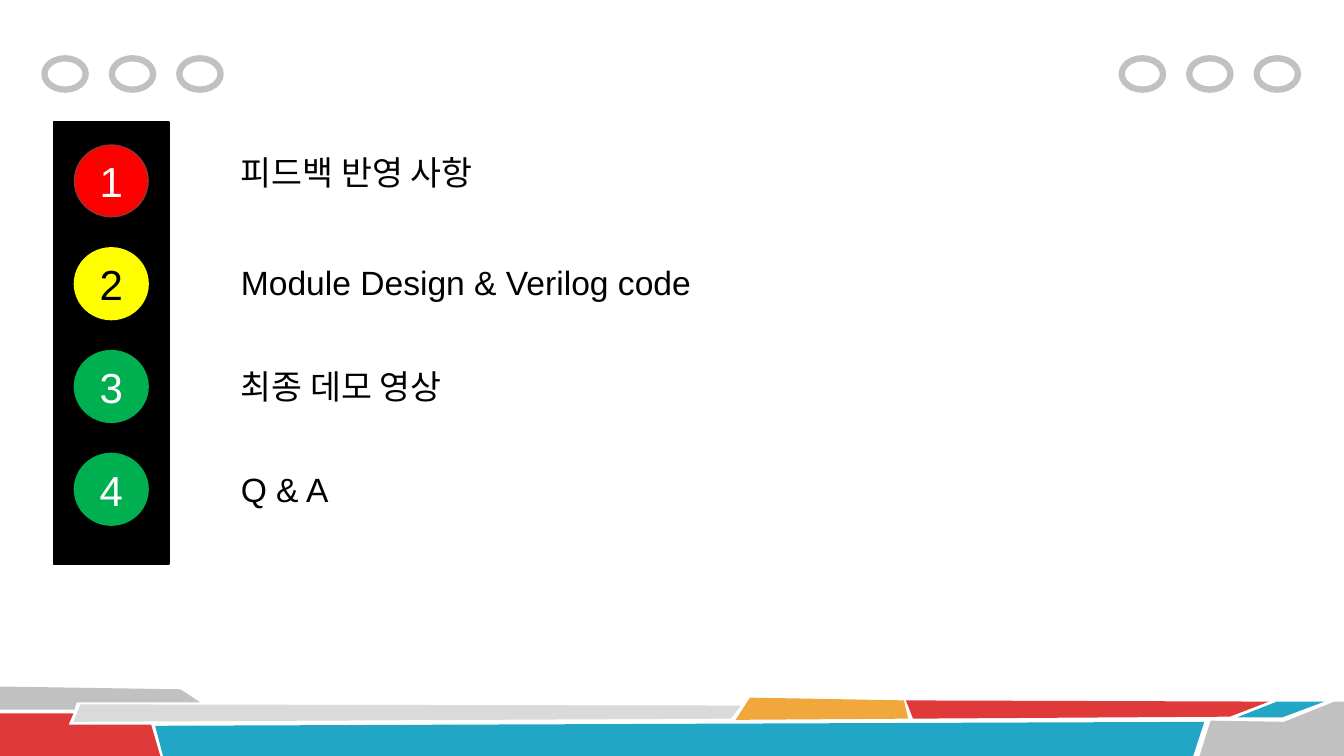
"""Build an agenda slide styled as a traffic light with four topics."""
import pptx
import pptx.dml.color
import pptx.enum.shapes
import pptx.enum.text
import pptx.util

Cm = pptx.util.Cm
Pt = pptx.util.Pt
RGBColor = pptx.dml.color.RGBColor
MSO_SHAPE = pptx.enum.shapes.MSO_SHAPE

BLACK = RGBColor(0x00, 0x00, 0x00)
WHITE = RGBColor(0xFF, 0xFF, 0xFF)
GRAY = RGBColor(0xC1, 0xC1, 0xC1)
LIGHT_GRAY = RGBColor(0xDA, 0xDA, 0xDA)
CORAL = RGBColor(0xDF, 0x39, 0x39)
TEAL = RGBColor(0x21, 0xA6, 0xC5)
ORANGE = RGBColor(0xF0, 0xA7, 0x3C)
RED = RGBColor(0xFF, 0x00, 0x00)
BROWN = RGBColor(0xA5, 0x2A, 0x2A)
YELLOW = RGBColor(0xFF, 0xFF, 0x00)
GREEN = RGBColor(0x00, 0xB0, 0x50)

FONT = "Arial"
RING_STEP = 1.7
LIGHT_STEP = 2.59

FOOTER_BANDS = [
    (GRAY, [(0, 17.3), (4.55, 17.37), (5.05, 17.7), (1.93, 17.7), (1.88, 17.88), (0, 17.88)]),
    (CORAL, [(0, 17.98), (1.85, 17.98), (1.73, 18.26), (3.81, 18.26), (4.04, 19.05), (0, 19.05)]),
    (LIGHT_GRAY, [(2.03, 17.75), (18.67, 17.78), (18.42, 18.11), (1.85, 18.19)]),
    (TEAL, [(3.91, 18.29), (30.35, 18.19), (30.07, 19.05), (4.11, 19.05)]),
    (ORANGE, [(18.9, 17.58), (22.78, 17.65), (22.89, 18.11), (18.54, 18.14)]),
    (CORAL, [(22.83, 17.65), (31.98, 17.68), (30.99, 18.06), (23.01, 18.11)]),
    (TEAL, [(32.18, 17.68), (33.38, 17.68), (32.31, 18.08), (31.17, 18.08)]),
    (GRAY, [(30.51, 18.16), (32.36, 18.19), (33.63, 17.68), (33.87, 17.68),
            (33.87, 19.05), (30.23, 19.05)]),
]

TOPICS = [
    ("피드백 반영 사항", 3.71, RED, BROWN, WHITE),
    ("Module Design & Verilog code", 6.48, YELLOW, YELLOW, BLACK),
    ("최종 데모 영상", 9.09, GREEN, GREEN, WHITE),
    ("Q & A", 11.68, GREEN, GREEN, WHITE),
]


def add_band(slide, color, corners):
    """Draw one slanted, unlined footer band."""
    start, *rest = [(Cm(x), Cm(y)) for x, y in corners]
    outline = slide.shapes.build_freeform(*start)
    outline.add_line_segments(rest, close=True)
    band = outline.convert_to_shape()
    band.shadow.inherit = False
    band.fill.solid()
    band.fill.fore_color.rgb = color
    band.line.fill.background()


def add_outlined(slide, preset, box, fill, line, width):
    """Draw a preset shape, hollow when fill is None, and return it."""
    shape = slide.shapes.add_shape(preset, *map(Cm, box))
    shape.shadow.inherit = False
    if fill is None:
        shape.fill.background()
    else:
        shape.fill.solid()
        shape.fill.fore_color.rgb = fill
    shape.line.color.rgb = line
    shape.line.width = Pt(width)
    return shape


def write(frame, text, size, color):
    """Write a single styled paragraph and return it."""
    paragraph = frame.paragraphs[0]
    paragraph.text = text
    paragraph.font.name = FONT
    paragraph.font.size = Pt(size)
    paragraph.font.color.rgb = color
    return paragraph


def add_light(slide, number, fill, line, digit_color):
    """Add a numbered lamp to the traffic light."""
    box = (1.88, 3.66 + (number - 1) * LIGHT_STEP, 1.85, 1.8)
    light = add_outlined(slide, MSO_SHAPE.OVAL, box, fill, line, 1.25)
    light.text_frame.vertical_anchor = pptx.enum.text.MSO_ANCHOR.MIDDLE
    digit = write(light.text_frame, str(number), 30, digit_color)
    digit.alignment = pptx.enum.text.PP_ALIGN.CENTER


def add_topic(slide, text, top):
    """Add the topic text beside its lamp."""
    topic = slide.shapes.add_textbox(Cm(5.82), Cm(top), Cm(16.64), Cm(1.27))
    topic.text_frame.word_wrap = True
    topic.text_frame.auto_size = pptx.enum.text.MSO_AUTO_SIZE.SHAPE_TO_FIT_TEXT
    write(topic.text_frame, text, 24, BLACK)


def main():
    """Assemble and save the slide."""
    deck = pptx.Presentation()
    deck.slide_width = Cm(33.87)
    deck.slide_height = Cm(19.05)
    slide = deck.slides.add_slide(deck.slide_layouts[6])

    for color, corners in FOOTER_BANDS:
        add_band(slide, color, corners)
    for group_left in (1.12, 28.27):
        for index in range(3):
            box = (group_left + index * RING_STEP, 1.47, 1.04, 0.79)
            add_outlined(slide, MSO_SHAPE.OVAL, box, None, GRAY, 4.5)

    add_outlined(slide, MSO_SHAPE.RECTANGLE, (1.35, 3.07, 2.92, 11.15), BLACK, BLACK, 1.25)
    for number, (text, top, fill, line, digit_color) in enumerate(TOPICS, 1):
        add_light(slide, number, fill, line, digit_color)
        add_topic(slide, text, top)

    deck.save("out.pptx")


if __name__ == "__main__":
    main()
